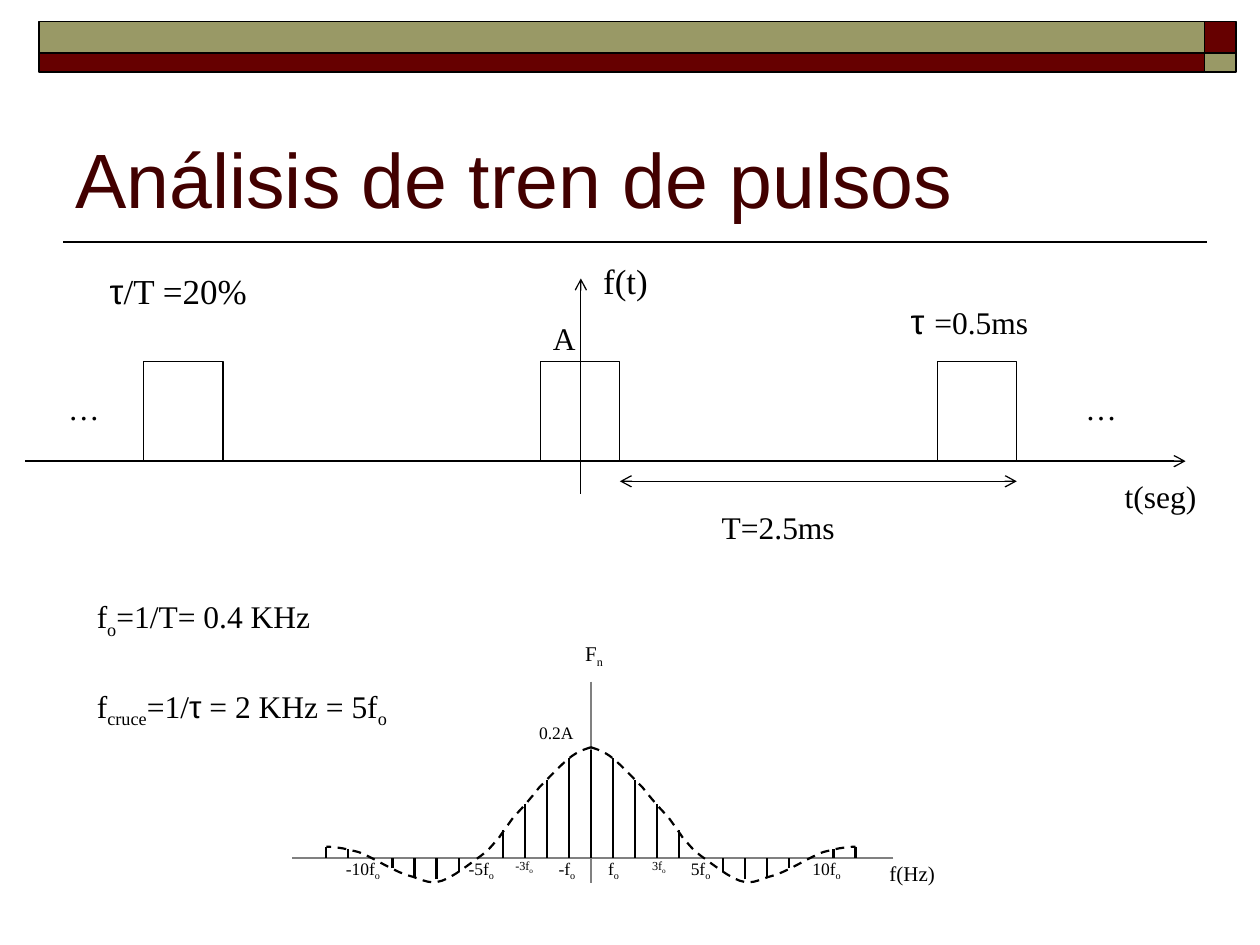
from lxml import etree
from pptx import Presentation
from pptx.dml.color import RGBColor
from pptx.enum.dml import MSO_LINE
from pptx.enum.shapes import MSO_CONNECTOR, MSO_SHAPE
from pptx.enum.text import MSO_ANCHOR, PP_ALIGN
from pptx.oxml.ns import qn
from pptx.util import Inches, Pt

RECT = MSO_SHAPE.RECTANGLE
STRAIGHT = MSO_CONNECTOR.STRAIGHT
DASH = MSO_LINE.DASH
LEFT, CENTER = PP_ALIGN.LEFT, PP_ALIGN.CENTER
TOP, BOTTOM = MSO_ANCHOR.TOP, MSO_ANCHOR.BOTTOM
BLACK, WHITE, GRAY = "000000", "FFFFFF", "808080"
MAROON, OLIVE, TITLE = "660000", "999966", "420000"
SERIF, SANS = "Times New Roman", "Arial"

PULSE_LEFT, PULSE_TOP, PULSE_W, PULSE_H, PERIOD = 1.14, 2.87, 0.63, 0.79, 3.15
TIME_AXIS = PULSE_TOP + PULSE_H
CENTER_X, FREQ_AXIS, HARMONIC = 4.69, 6.81, 0.175
HARMONIC_ENDS = {1: 6.02, 2: 6.19, 3: 6.38, 4: 6.59, 6: 6.92, 7: 6.98,
                 8: 6.96, 9: 6.89, 11: 6.74, 12: 6.72}
ENVELOPE_START = (0, 5.93)
ENVELOPE = [
    ((0.02, 5.94), (0.08, 5.95), (0.15, 6)),
    ((0.22, 6.05), (0.33, 6.17), (0.41, 6.25)),
    ((0.48, 6.34), (0.55, 6.42), (0.61, 6.48)),
    ((0.66, 6.55), (0.69, 6.59), (0.73, 6.65)),
    ((0.78, 6.7), (0.79, 6.73), (0.87, 6.79)),
    ((0.94, 6.84), (1.09, 6.96), (1.18, 6.99)),
    ((1.27, 7.02), (1.32, 6.99), (1.41, 6.96)),
    ((1.51, 6.94), (1.66, 6.85), (1.74, 6.81)),
    ((1.82, 6.77), (1.84, 6.76), (1.9, 6.75)),
    ((1.96, 6.73), (2.06, 6.72), (2.1, 6.72)),
]
CURVE_STEPS = 6
SUB = {"baseline": -25000}
GREEK = {"name": SANS}


def rgb(color):
    return RGBColor.from_string(color)


def set_line(s, color, width):
    s.line.color.rgb = rgb(color)
    s.line.width = Pt(width)


def add_rect(slide, x, y, w, h, fill, width=0.75):
    s = slide.shapes.add_shape(RECT, Inches(x), Inches(y), Inches(w), Inches(h))
    s.shadow.inherit = False
    s.fill.solid()
    s.fill.fore_color.rgb = rgb(fill)
    set_line(s, BLACK, width)


def add_line(slide, x1, y1, x2, y2, width=0.75, color=BLACK, arrows=()):
    s = slide.shapes.add_connector(STRAIGHT, Inches(x1), Inches(y1), Inches(x2), Inches(y2))
    set_line(s, color, width)
    ln = s.line._get_or_add_ln()
    for end in arrows:
        etree.SubElement(ln, qn(f"a:{end}"), type="arrow")
    etree.SubElement(s._element.spPr, qn("a:effectLst"))


def add_text(slide, x, y, w, h, runs, size=18, font=SERIF, color=BLACK,
             align=LEFT, anchor=TOP, inset=(0.1, 0.05)):
    tf = slide.shapes.add_textbox(Inches(x), Inches(y), Inches(w), Inches(h)).text_frame
    side, edge = map(Inches, inset)
    frame = {"word_wrap": True, "vertical_anchor": anchor, "margin_left": side,
             "margin_right": side, "margin_top": edge, "margin_bottom": edge}
    for key, value in frame.items():
        setattr(tf, key, value)
    p = tf.paragraphs[0]
    p.alignment = align
    for text, changes in runs:
        r = p.add_run()
        r.text = text
        style = {"size": size, "name": font, **changes}
        baseline = style.pop("baseline", None)
        style["size"] = Pt(style["size"])
        for key, value in style.items():
            setattr(r.font, key, value)
        r.font.color.rgb = rgb(color)
        if baseline:
            r._r.get_or_add_rPr().set("baseline", str(baseline))


def add_label(slide, x, y, w, h, runs, size=10):
    add_text(slide, x, y, w, h, runs, size, align=CENTER, inset=(0, 0))


def bezier(a, b, c, d, t):
    u = 1 - t
    return tuple(u**3 * i + 3 * u * u * t * j + 3 * u * t * t * k + t**3 * m
                 for i, j, k, m in zip(a, b, c, d))


def add_envelope(slide, side):
    points, last = [ENVELOPE_START], ENVELOPE_START
    for b, c, d in ENVELOPE:
        points += [bezier(last, b, c, d, n / CURVE_STEPS) for n in range(1, CURVE_STEPS + 1)]
        last = d
    points = [(Inches(CENTER_X + side * x), Inches(y)) for x, y in points]
    builder = slide.shapes.build_freeform(*points[0])
    builder.add_line_segments(points[1:], close=False)
    s = builder.convert_to_shape()
    s.shadow.inherit = False
    s.fill.background()
    set_line(s, BLACK, 1.25)
    s.line.dash_style = DASH


def draw_header(slide):
    add_line(slide, 0.5, 1.92, 9.58, 1.92, 1)
    for y, h, bar, corner in ((0.17, 0.25, OLIVE, MAROON), (0.42, 0.15, MAROON, OLIVE)):
        add_rect(slide, 0.31, y, 9.25, h, bar, 1)
        add_rect(slide, 9.56, y, 0.25, h, corner, 1)
    add_text(slide, 0.5, 0.58, 9, 1.25, [("Análisis de tren de pulsos", {})],
             44, SANS, TITLE, anchor=BOTTOM)


def draw_pulse_train(slide):
    add_line(slide, 0.2, TIME_AXIS, 9.41, TIME_AXIS, arrows=["tailEnd"])
    for n in range(3):
        add_rect(slide, PULSE_LEFT + n * PERIOD, PULSE_TOP, PULSE_W, PULSE_H, WHITE)
    add_line(slide, 4.61, 3.92, 4.61, 2.21, arrows=["tailEnd"])
    add_line(slide, 4.92, 3.82, 4.92 + PERIOD, 3.82, arrows=["headEnd", "tailEnd"])
    add_text(slide, 5.63, 3.98, 1.34, 0.4, [("T=2.5ms", {})])
    add_text(slide, 7.13, 2.33, 1.34, 0.44, [("τ ", {**GREEK, "size": 20}), ("=0.5ms", {})])
    add_text(slide, 4.29, 2.48, 0.39, 0.4, [("A", {})])
    add_text(slide, 4.61, 2.01, 0.71, 0.44, [("f(t)", {})], 20, align=CENTER)
    add_text(slide, 8.7, 3.74, 1.02, 0.4, [("t(seg)", {})], align=CENTER)
    for x, w in ((0.35, 0.63), (8.23, 1.02)):
        add_text(slide, x, 3.04, w, 0.4, [("…", {})], align=CENTER)
    add_text(slide, 0.59, 2.09, 1.65, 0.44, [("τ", GREEK), ("/T =20%", {})], 20, align=CENTER)


def draw_formulas(slide):
    add_text(slide, 0.67, 4.69, 2.13, 0.44, [("f", {}), ("o", SUB), ("=1/T= 0.4 KHz", {})])
    add_text(slide, 0.67, 5.4, 2.91, 0.44,
             [("f", {}), ("cruce", SUB), ("=1/", {}), ("τ", GREEK),
              (" = 2 KHz = 5f", {}), ("o", SUB)])


def draw_spectrum(slide):
    add_line(slide, CENTER_X, 5.41, CENTER_X, 7.01, color=GRAY)
    add_line(slide, 7.09, FREQ_AXIS, 2.32, FREQ_AXIS, color=GRAY)
    add_line(slide, CENTER_X, 5.95, CENTER_X, FREQ_AXIS, 1.25)
    for side in (1, -1):
        for n, y in HARMONIC_ENDS.items():
            x = CENTER_X + side * n * HARMONIC
            add_line(slide, x, y, x, FREQ_AXIS, 1.25)
        add_envelope(slide, side)
    add_label(slide, 6.97, 6.83, 0.54, 0.33, [("f(Hz)", {})], 12)
    add_label(slide, 4.45, 5.08, 0.53, 0.33, [("F", {}), ("n", SUB)], 12)
    add_label(slide, 4.14, 5.73, 0.55, 0.37, [("0.2A", {})])
    for text, x, w, h, size in (
        ("-10f", 2.72, 0.32, 0.33, 10), ("-5f", 3.7, 0.24, 0.33, 10),
        ("-3f", 4.04, 0.24, 0.16, 7), ("-f", 4.38, 0.24, 0.33, 10),
        ("f", 4.75, 0.24, 0.33, 10), ("3f", 5.11, 0.24, 0.16, 7),
        ("5f", 5.44, 0.24, 0.33, 10), ("10f", 6.38, 0.36, 0.25, 10),
    ):
        add_label(slide, x, FREQ_AXIS, w, h, [(text, {}), ("o", SUB)], size)


def main():
    prs = Presentation()
    prs.slide_width, prs.slide_height = Inches(10), Inches(7.5)
    slide = prs.slides.add_slide(prs.slide_layouts[6])
    draw_header(slide)
    draw_pulse_train(slide)
    draw_formulas(slide)
    draw_spectrum(slide)
    prs.save("out.pptx")


if __name__ == "__main__":
    main()
